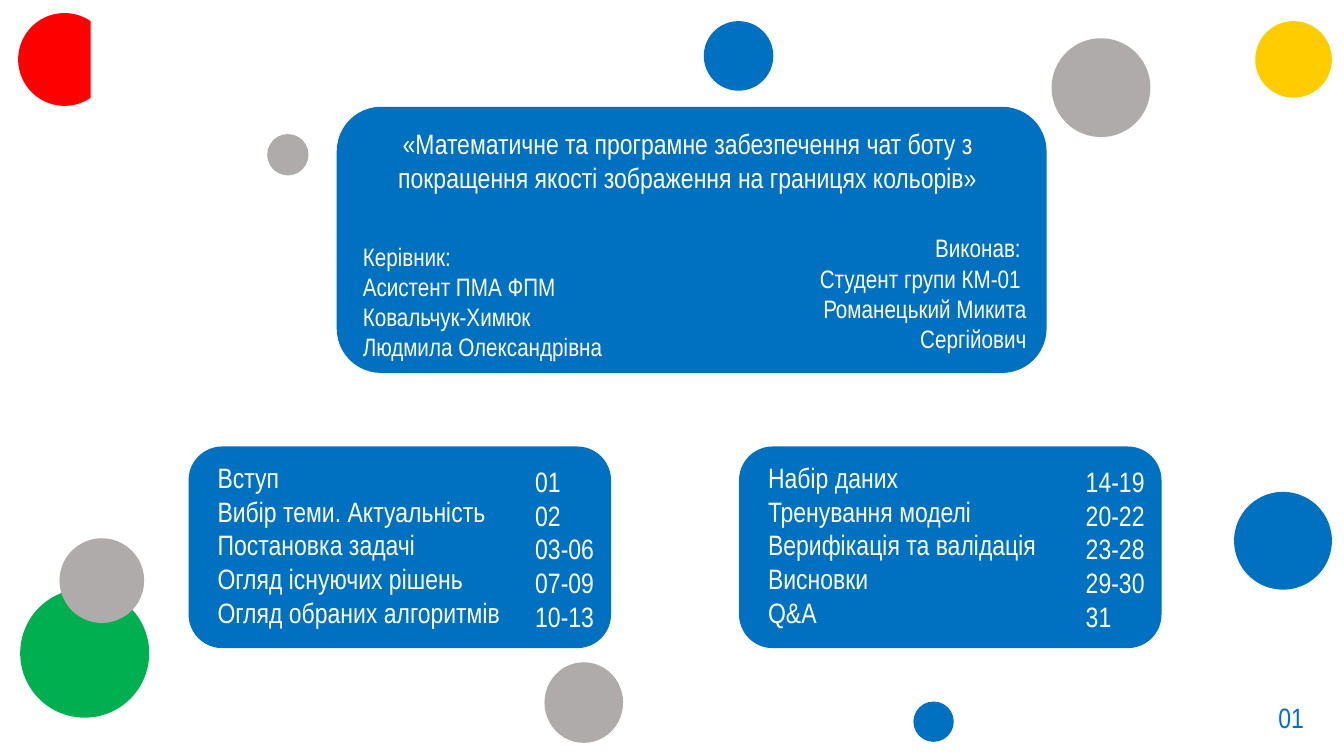
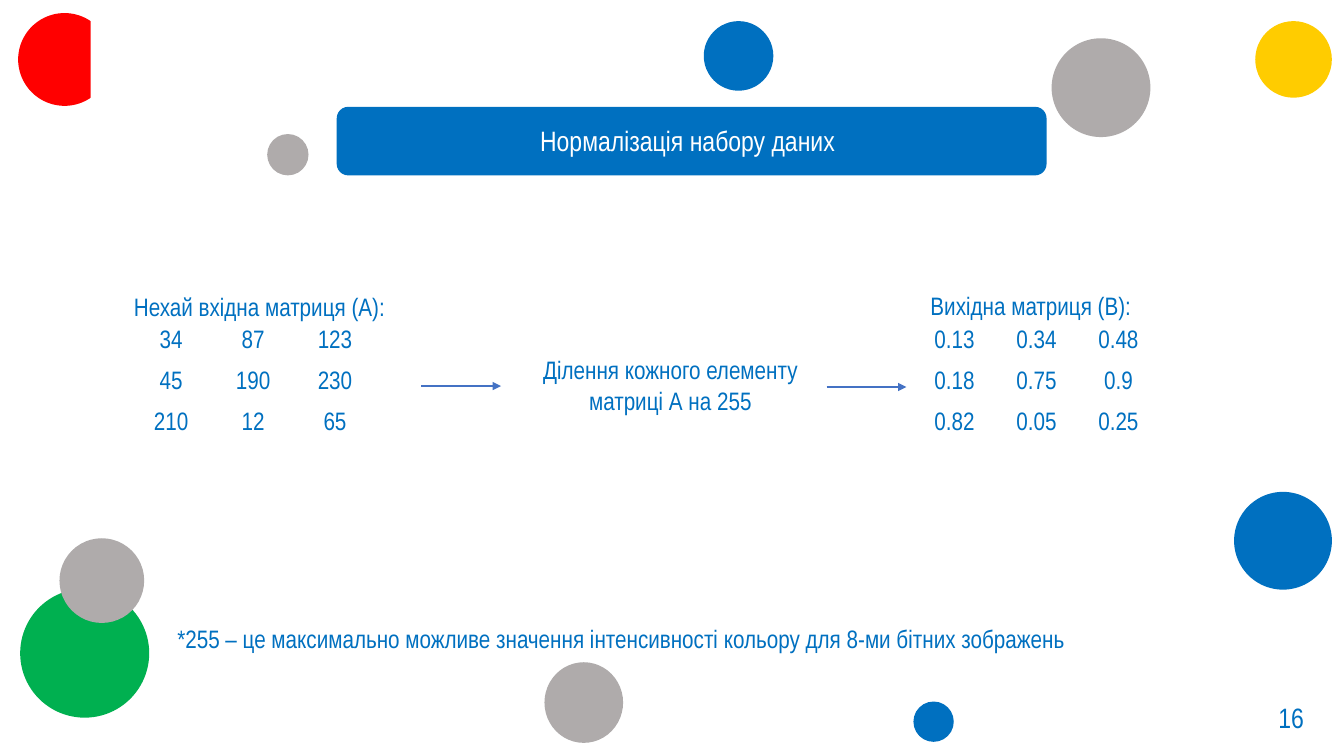
from dataclasses import dataclass
from typing import NamedTuple

from lxml.etree import SubElement
from pptx import Presentation
from pptx.dml.color import RGBColor as Rgb
from pptx.enum.shapes import MSO_CONNECTOR as Line, MSO_SHAPE as Form
from pptx.enum.text import PP_ALIGN as Align
from pptx.oxml.ns import qn
from pptx.util import Inches, Pt


# Theme
@dataclass(frozen=True)
class Theme:
    font: str = "Arial Narrow"
    head: int = 20
    body: int = 18
    white: str = "FFFFFF"
    blue: str = "0070C0"
    gray: str = "AFABAB"
    red: str = "FF0000"
    green: str = "00B050"
    gold: str = "FFCC00"
    arrow: str = "4472C4"


T = Theme()


class Box(NamedTuple):
    x: float
    y: float
    w: float
    h: float


class Dot(NamedTuple):
    box: Box
    color: str


class Block(NamedTuple):
    x: float
    topics: list[str]
    pages: list[str]


class Matrix(NamedTuple):
    x: float
    label: Box
    title: str
    rows: list[list[str]]


# Content
DOTS = [
    Dot(Box(0.18, 0.13, 0.92, 0.92), T.red),
    Dot(Box(6.98, 0.21, 0.69, 0.69), T.blue),
    Dot(Box(0.2, 5.84, 1.28, 1.28), T.green),
    Dot(Box(0.59, 5.34, 0.84, 0.84), T.gray),
    Dot(Box(12.45, 0.21, 0.76, 0.76), T.gold),
    Dot(Box(12.24, 4.88, 0.97, 0.97), T.blue),
    Dot(Box(9.06, 6.96, 0.4, 0.4), T.blue),
    Dot(Box(10.43, 0.38, 0.98, 0.98), T.gray),
    Dot(Box(5.4, 6.57, 0.78, 0.8), T.gray),
    Dot(Box(2.65, 1.33, 0.41, 0.41), T.gray),
]
MASK = Box(0.9, 0.13, 1.43, 1.92)
TOPIC = "«Математичне та програмне забезпечення чат боту з покращення якості зображення на границях кольорів»"
AUTHOR = ["Виконав: ", "Студент групи КМ-01 ", "Романецький Микита", "Сергійович"]
MENTOR = ["Керівник:", "Асистент ПМА ФПМ", "Ковальчук-Химюк", "Людмила Олександрівна"]
BLOCKS = [
    Block(1.87,
          ["Вступ", "Вибір теми. Актуальність", "Постановка задачі",
           "Огляд існуючих рішень", "Огляд обраних алгоритмів"],
          ["01", "02", "03-06", "07-09", "10-13"]),
    Block(7.33,
          ["Набір даних", "Тренування моделі", "Верифікація та валідація",
           "Висновки", "Q&A"],
          ["14-19", "20-22", "23-28", "29-30", "31"]),
]
GRIDS = [
    Matrix(1.29, Box(1.23, 2.84, 2.84, 0.4), "Нехай вхідна матриця (А):",
           [["34", "87", "123"], ["45", "190", "230"], ["210", "12", "65"]]),
    Matrix(9.06, Box(9.13, 2.83, 2.31, 0.4), "Вихідна матриця (B):",
           [["0.13", "0.34", "0.48"], ["0.18", "0.75", "0.9"],
            ["0.82", "0.05", "0.25"]]),
]
STEP = "Ділення кожного елементу матриці А на 255"
NOTE = "*255 – це максимально можливе значення інтенсивності кольору для 8-ми бітних зображень"


# Drawing helpers
def place(box: Box) -> list[Inches]:
    return [Inches(v) for v in box]


def shape(slide, form: Form, box: Box, color: str) -> None:
    item = slide.shapes.add_shape(form, *place(box))
    item.shadow.inherit = False
    item.fill.solid()
    item.fill.fore_color.rgb = Rgb.from_string(color)
    item.line.fill.background()


def style(frame, size: int, color: str, align: Align) -> None:
    for para in frame.paragraphs:
        para.alignment = align
        for run in para.runs:
            run.font.name = T.font
            run.font.size = Pt(size)
            run.font.color.rgb = Rgb.from_string(color)


def text(slide, box: Box, lines: list[str], size: int = T.body,
         color: str = T.blue, align: Align = Align.LEFT) -> None:
    frame = slide.shapes.add_textbox(*place(box)).text_frame
    frame.word_wrap = True
    frame.text = "\n".join(lines)
    style(frame, size, color, align)


def arrow(slide, x: float, y: float, size: float = 0.79) -> None:
    line = slide.shapes.add_connector(
        Line.STRAIGHT, Inches(x), Inches(y), Inches(x + size), Inches(y))
    line.line.color.rgb = Rgb.from_string(T.arrow)
    line.line.width = Pt(1.5)
    SubElement(line.line._get_or_add_ln(), qn("a:tailEnd"), type="triangle")
    SubElement(line._element.spPr, qn("a:effectLst"))


def grid(slide, data: Matrix) -> None:
    text(slide, data.label, [data.title])
    box = Box(data.x, 3.23, 2.44, 1.21)
    table = slide.shapes.add_table(
        len(data.rows), len(data.rows[0]), *place(box)).table
    table.first_row = table.horz_banding = False
    for r, row in enumerate(data.rows):
        for c, value in enumerate(row):
            cell = table.cell(r, c)
            cell.fill.background()
            cell.text_frame.text = value
            style(cell.text_frame, T.body, T.blue, Align.CENTER)


def block(slide, data: Block) -> None:
    shape(slide, Form.ROUNDED_RECTANGLE, Box(data.x, 4.43, 4.19, 2), T.blue)
    text(slide, Box(data.x + 0.19, 4.52, 3.14, 1.78), data.topics, T.head, T.white)
    text(slide, Box(data.x + 3.34, 4.56, 0.85, 1.78), data.pages, T.head, T.white)


# Shared frame: dots, title panel and page number
def base(deck, title: str, tall: float, top: float, page: str):
    slide = deck.slides.add_slide(deck.slide_layouts[6])
    for dot in DOTS:
        shape(slide, Form.OVAL, dot.box, dot.color)
    shape(slide, Form.RECTANGLE, MASK, T.white)
    shape(slide, Form.ROUNDED_RECTANGLE, Box(3.34, 1.06, 7.04, tall), T.blue)
    text(slide, Box(3.56, top, 6.52, 0.44), [title], T.head, T.white, Align.CENTER)
    text(slide, Box(12.58, 6.9, 0.51, 0.44), [page], T.head)
    return slide


# Slides
def cover(deck) -> None:
    slide = base(deck, TOPIC, 2.64, 1.21, "01")
    text(slide, Box(6.27, 2.26, 4.01, 1.31), AUTHOR, T.body, T.white, Align.RIGHT)
    text(slide, Box(3.5, 2.34, 3.5, 1.31), MENTOR, T.body, T.white)
    for data in BLOCKS:
        block(slide, data)


def scale(deck) -> None:
    slide = base(deck, "Нормалізація набору даних", 0.68, 1.18, "16")
    for data in GRIDS:
        grid(slide, data)
    arrow(slide, 4.18, 3.83)
    arrow(slide, 8.2, 3.84)
    text(slide, Box(5.18, 3.47, 2.94, 0.71), [STEP], align=Align.CENTER)
    text(slide, Box(1.66, 6.13, 9.75, 0.4), [NOTE])


def main() -> None:
    deck = Presentation()
    deck.slide_width, deck.slide_height = Inches(13.33), Inches(7.5)
    cover(deck)
    scale(deck)
    deck.save("out.pptx")


if __name__ == "__main__":
    main()
